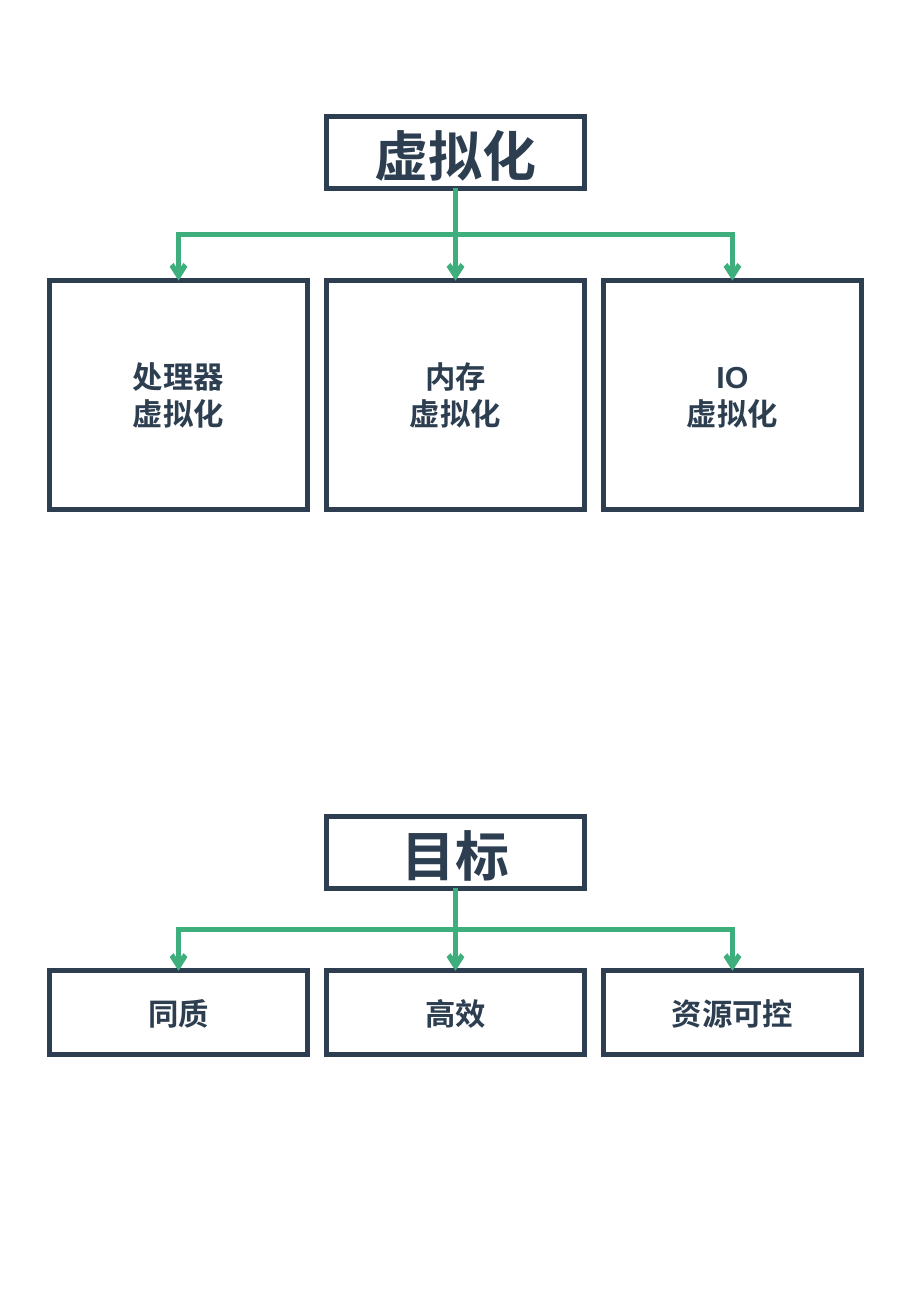
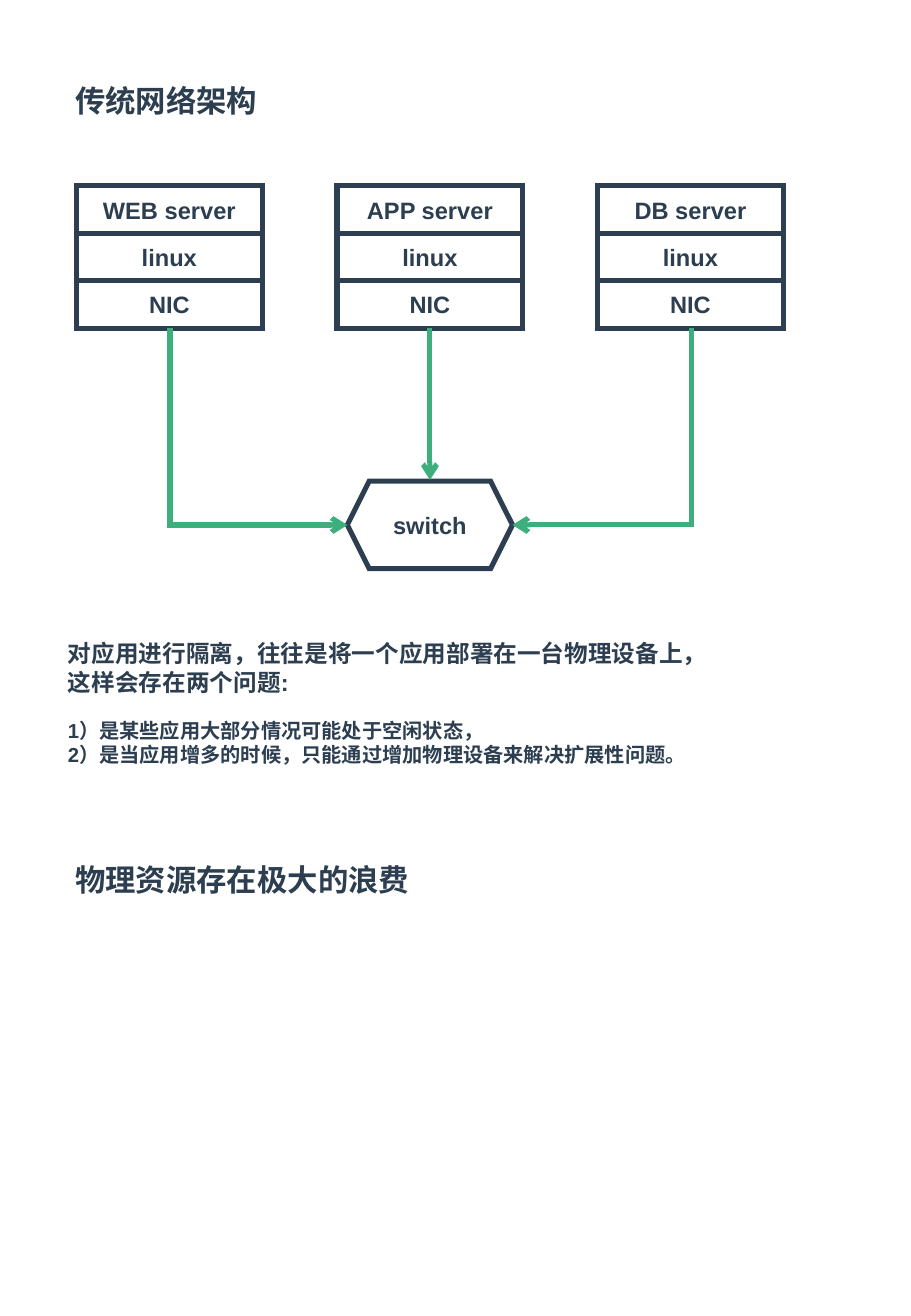
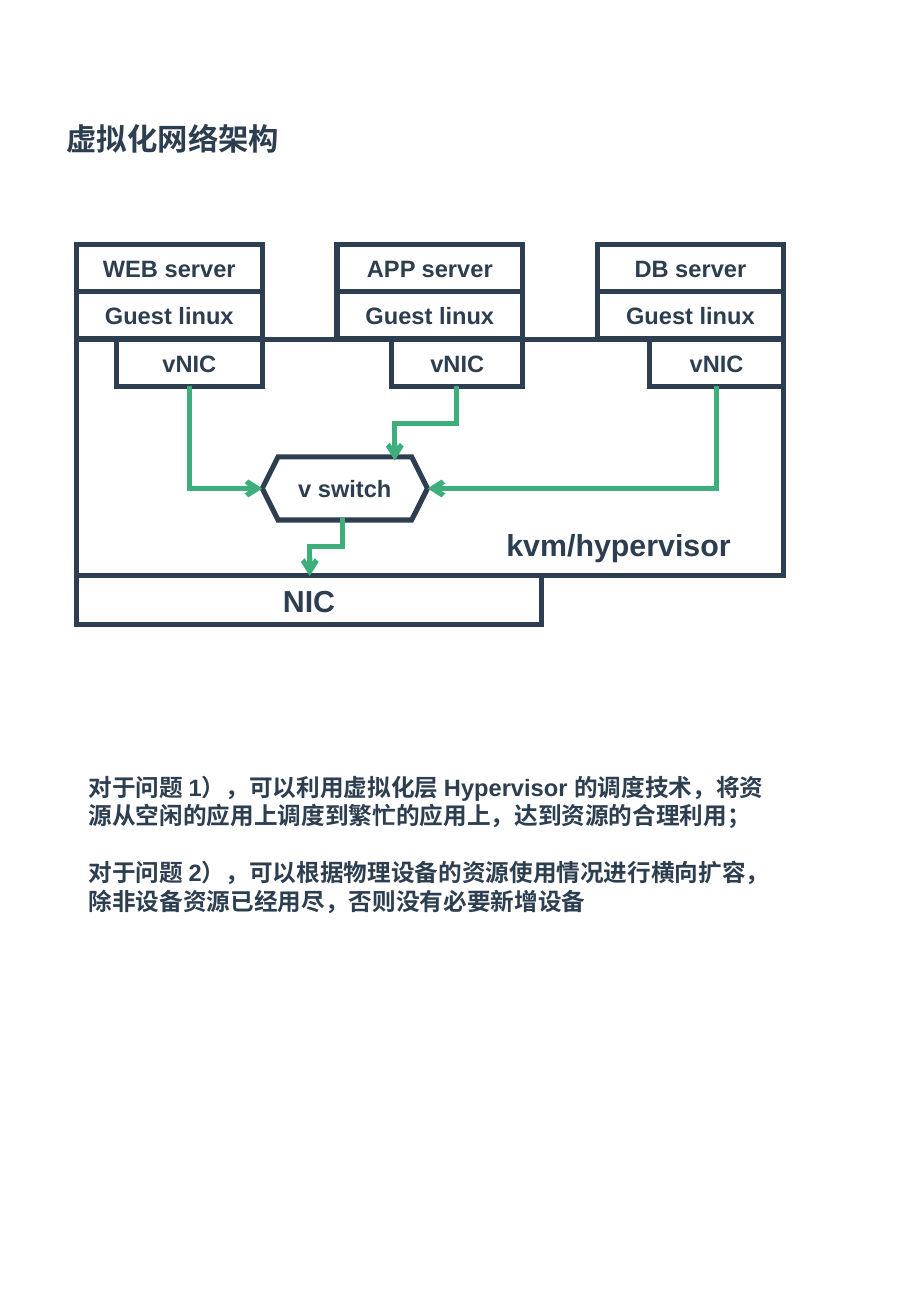
from lxml import etree
from pptx import Presentation
from pptx.dml.color import RGBColor
from pptx.enum.shapes import MSO_CONNECTOR, MSO_SHAPE
from pptx.enum.text import MSO_ANCHOR, PP_ALIGN
from pptx.oxml.ns import qn
from pptx.util import Inches, Pt

# Shared style
NAVY = RGBColor(0x2C, 0x3E, 0x50)
GREEN = RGBColor(0x3E, 0xAF, 0x7C)
FONT = "Arial"
STROKE = Pt(3)
HEADING, BODY, SMALL = 18, 14, 12

RECTANGLE, HEXAGON = MSO_SHAPE.RECTANGLE, MSO_SHAPE.HEXAGON
STRAIGHT, ELBOW = MSO_CONNECTOR.STRAIGHT, MSO_CONNECTOR.ELBOW
CENTER, LEFT = PP_ALIGN.CENTER, PP_ALIGN.LEFT
TOP, MIDDLE = MSO_ANCHOR.TOP, MSO_ANCHOR.MIDDLE

# Shared grid of the two network diagrams
SERVERS = ("WEB server", "APP server", "DB server")
STACK_LEFT, STACK_SPAN = 0.63, 5.82
STACK_WIDTH, ROW_HEIGHT = 1.53, 0.39
SWITCH_WIDTH = 1.36


def write_lines(frame, lines, size, align=LEFT, gap=0):
    """Fill a text frame, one paragraph a line, with a gap between them."""
    for index, line in enumerate(lines):
        para = frame.paragraphs[0] if index == 0 else frame.add_paragraph()
        para.alignment = align
        if index and gap:
            para.space_before = Pt(gap)
        span = para.add_run()
        span.text = line
        span.font.name = FONT
        span.font.size = Pt(size)
        span.font.bold = True
        span.font.color.rgb = NAVY


def style_line(line, colour):
    """Set colour and width, with sharp corners; return the line element."""
    line.color.rgb = colour
    line.width = STROKE
    element = line._get_or_add_ln()
    etree.SubElement(element, qn("a:miter"), lim="800000")
    return element


def add_box(shapes, left, top, width, height, lines=(), size=BODY,
            kind=RECTANGLE, anchor=MIDDLE):
    box = shapes.add_shape(kind, Inches(left), Inches(top),
                           Inches(width), Inches(height))
    box.shadow.inherit = False
    box.fill.background()
    style_line(box.line, NAVY)
    box.text_frame.vertical_anchor = anchor
    write_lines(box.text_frame, lines, size, CENTER)


def add_text(page, left, top, width, height, lines, size, wrap=True, gap=0):
    box = page.shapes.add_textbox(Inches(left), Inches(top),
                                  Inches(width), Inches(height))
    box.text_frame.word_wrap = wrap
    write_lines(box.text_frame, lines, size, gap=gap)


def add_arrow(page, start, end, bends=2):
    """Draw an arrow that leaves downwards and turns the given times."""
    (x1, y1), (x2, y2) = start, end
    if x1 == x2:
        arrow = page.shapes.add_connector(STRAIGHT, Inches(x1), Inches(y1),
                                          Inches(x2), Inches(y2))
    else:
        # An elbow starts sideways, so lay it out turned and rotate it
        mid_x, mid_y = (x1 + x2) / 2, (y1 + y2) / 2
        half_width, half_height = (y2 - y1) / 2, (x1 - x2) / 2
        arrow = page.shapes.add_connector(
            ELBOW,
            Inches(mid_x - half_width), Inches(mid_y - half_height),
            Inches(mid_x + half_width), Inches(mid_y + half_height))
        properties = arrow._element.spPr
        properties.find(qn("a:xfrm")).set("rot", "5400000")
        properties.find(qn("a:prstGeom")).set("prst", f"bentConnector{bends + 1}")
    line = style_line(arrow.line, GREEN)
    etree.SubElement(line, qn("a:tailEnd"), type="arrow")
    etree.SubElement(arrow._element.spPr, qn("a:effectLst"))


def add_tree(page, top, title, leaf_top, leaf_height, leaves):
    """Draw a title box with arrows to a row of leaves."""
    left, width, gap, title_height = 0.41, 2.12, 0.16, 0.59
    pitch = width + gap
    root_left = left + pitch * (len(leaves) - 1) / 2
    add_box(page.shapes, root_left, top, width, title_height, [title], 32,
            anchor=TOP)
    root = (round(root_left + width / 2, 2), top + title_height)
    for index, lines in enumerate(leaves):
        leaf_left = left + index * pitch
        add_box(page.shapes, leaf_left, leaf_top, width, leaf_height, lines,
                HEADING)
        add_arrow(page, root, (round(leaf_left + width / 2, 2), leaf_top))


def add_stacks(page, top, system, card, card_widths):
    """Draw the server stacks; return the bottom centre of each card."""
    pitch = (STACK_SPAN - STACK_WIDTH) / (len(SERVERS) - 1)
    ports = []
    for index, (server, card_width) in enumerate(zip(SERVERS, card_widths)):
        left = STACK_LEFT + index * pitch
        right = left + STACK_WIDTH
        rows = ((server, STACK_WIDTH), (system, STACK_WIDTH), (card, card_width))
        shapes = page.shapes.add_group_shape().shapes
        for row, (label, width) in enumerate(rows):
            add_box(shapes, right - width, top + row * ROW_HEIGHT,
                    width, ROW_HEIGHT, [label])
        ports.append((round(right - card_width / 2, 2),
                      top + len(rows) * ROW_HEIGHT))
    return ports


def add_switch(page, left, top, height, label, ports, entry):
    """Draw a switch fed from both sides and from above at the entry point."""
    add_box(page.shapes, left, top, SWITCH_WIDTH, height, [label], kind=HEXAGON)
    middle = top + height / 2
    web, app, database = ports
    add_arrow(page, web, (left, middle), bends=1)
    add_arrow(page, app, entry)
    add_arrow(page, database, (left + SWITCH_WIDTH, middle), bends=1)


def build_overview(page):
    add_tree(page, 0.96, "虚拟化", 2.31, 1.88,
             [("处理器", "虚拟化"), ("内存", "虚拟化"), ("IO", "虚拟化")])
    add_tree(page, 6.72, "目标", 7.99, 0.69,
             [("同质",), ("高效",), ("资源可控",)])


def build_traditional(page):
    add_text(page, 0.52, 0.63, 2.78, 0.4, ["传统网络架构"], HEADING)
    # Diagram
    ports = add_stacks(page, 1.53, "linux", "NIC", [STACK_WIDTH] * 3)
    add_switch(page, 2.86, 3.96, 0.72, "switch", ports, (ports[1][0], 3.95))
    # Problems
    add_text(page, 0.46, 5.21, 5.47, 0.57,
             ["对应用进行隔离，往往是将一个应用部署在一台物理设备上，",
              "这样会存在两个问题:"], BODY, wrap=False)
    add_text(page, 0.46, 5.86, 6.5, 0.5,
             ["1）是某些应用大部分情况可能处于空闲状态，",
              "2）是当应用增多的时候，只能通过增加物理设备来解决扩展性问题。"],
             SMALL)
    add_text(page, 0.52, 7.04, 5.17, 0.4, ["物理资源存在极大的浪费"], HEADING)


def build_virtual(page):
    add_text(page, 0.45, 0.94, 2.78, 0.4, ["虚拟化网络架构"], HEADING)
    # Diagram
    ports = add_stacks(page, 2.01, "Guest linux", "vNIC", [1.2, 1.08, 1.1])
    add_box(page.shapes, STACK_LEFT, 2.79, STACK_SPAN, 1.95)
    add_text(page, 4.07, 4.28, 2.39, 0.4, ["kvm/hypervisor"], HEADING, wrap=False)
    add_box(page.shapes, STACK_LEFT, 4.74, 3.83, 0.4, ["NIC"], HEADING)
    add_switch(page, 2.16, 3.76, 0.52, "v switch", ports, (3.25, 3.79))
    add_arrow(page, (2.82, 4.26), (2.55, 4.74))
    # Answers
    add_text(page, 0.63, 6.31, STACK_SPAN, 1.51,
             ["对于问题 1），可以利用虚拟化层 Hypervisor 的调度技术，将资源从空闲的应用上"
              "调度到繁忙的应用上，达到资源的合理利用；",
              "对于问题 2），可以根据物理设备的资源使用情况进行横向扩容，除非设备资源已经用尽，"
              "否则没有必要新增设备"], BODY, gap=17)


def main():
    deck = Presentation()
    deck.slide_width, deck.slide_height = Inches(7.5), Inches(10.83)
    blank = deck.slide_layouts[6]
    for build in (build_overview, build_traditional, build_virtual):
        build(deck.slides.add_slide(blank))
    deck.save("out.pptx")


if __name__ == "__main__":
    main()
